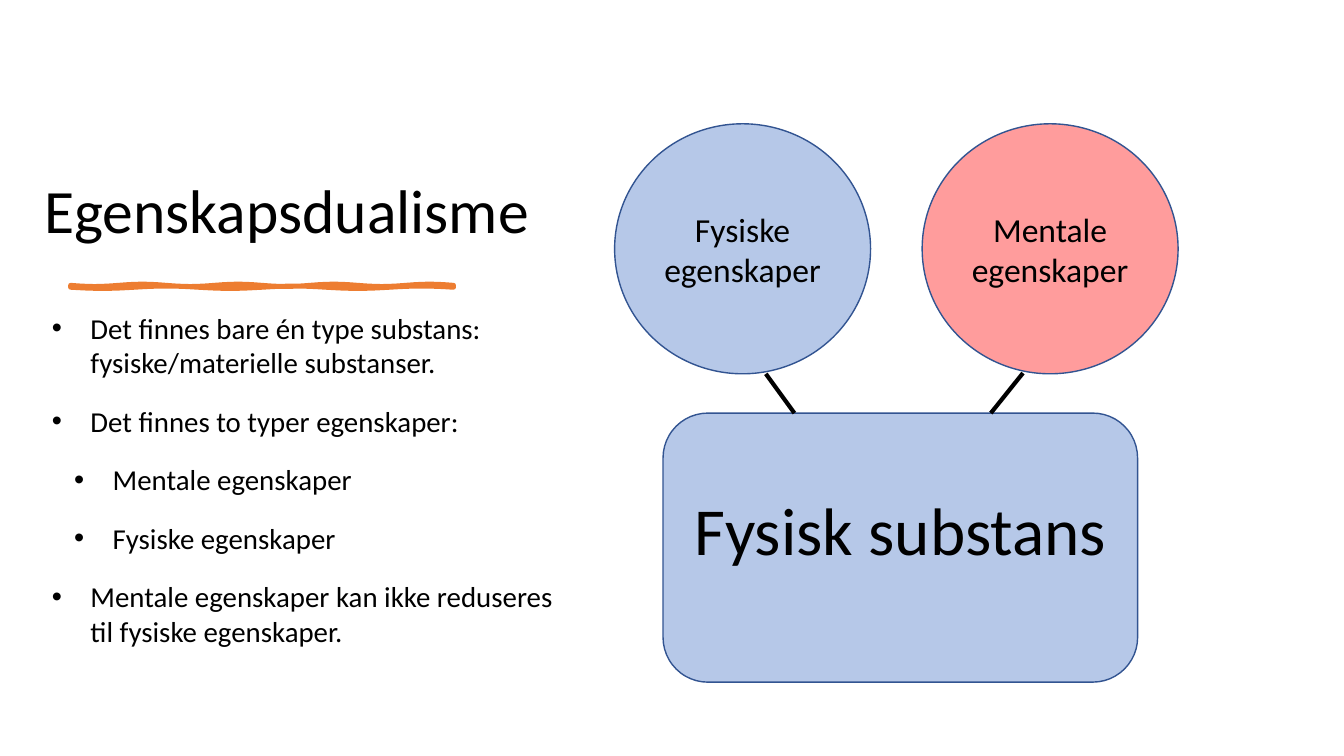
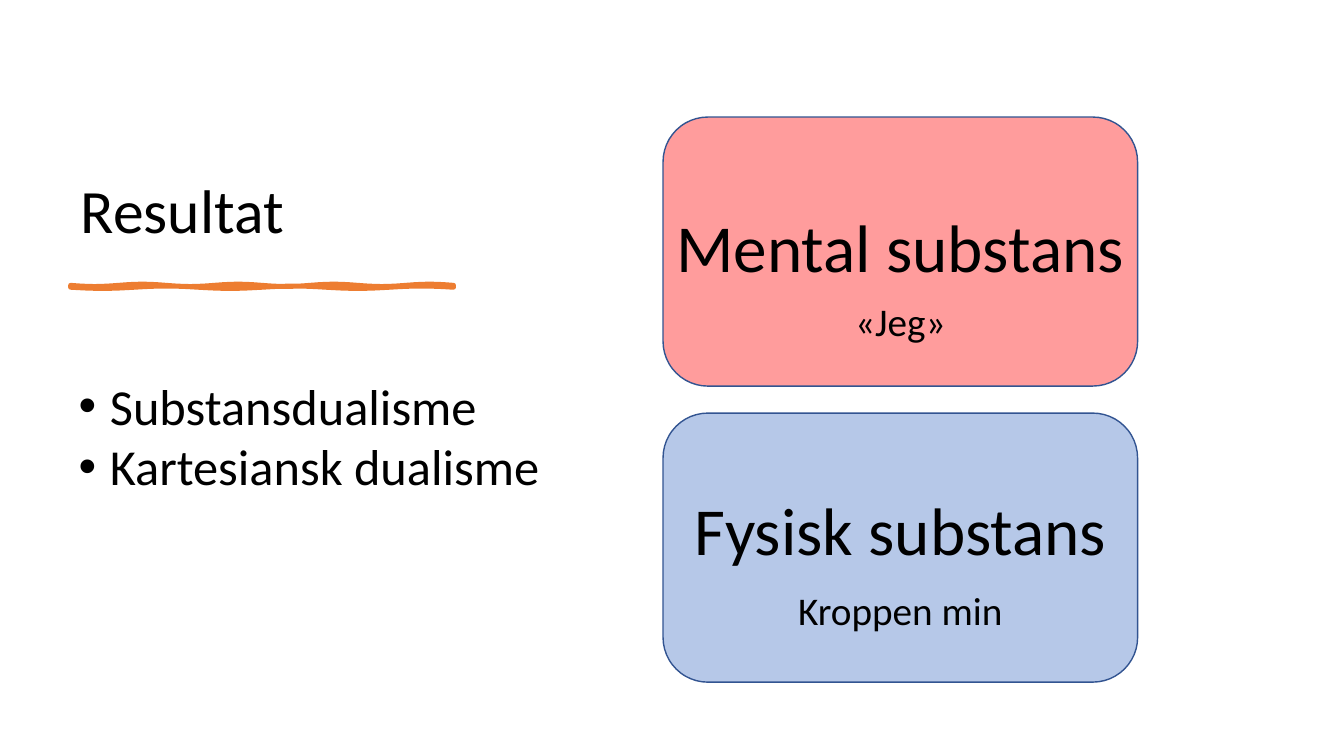
from math import pi, sin

from lxml import etree
from pptx import Presentation
from pptx.dml.color import RGBColor
from pptx.enum.shapes import MSO_CONNECTOR, MSO_SHAPE
from pptx.enum.text import MSO_ANCHOR, MSO_AUTO_SIZE, PP_ALIGN
from pptx.oxml.ns import qn
from pptx.util import Cm, Pt

ROUNDED = MSO_SHAPE.ROUNDED_RECTANGLE
OVAL = MSO_SHAPE.OVAL
STRAIGHT = MSO_CONNECTOR.STRAIGHT
BOTTOM = MSO_ANCHOR.BOTTOM
MIDDLE = MSO_ANCHOR.MIDDLE
NO_FIT = MSO_AUTO_SIZE.NONE
LEFT = PP_ALIGN.LEFT
CENTER = PP_ALIGN.CENTER

TITLE_ONLY = 5
BLACK = "000000"
PHYSICAL = "4472C4"
MENTAL = "FF0000"
OUTLINE = "325491"
ACCENT = "ED7D31"

BOX_LEFT, BOX_WIDTH, BOX_HEIGHT = 16.71, 11.96, 6.78
LOWER_TOP, UPPER_TOP = 10.41, 2.95


def color(value):
    return RGBColor.from_string(value)


class SlideWriter:
    font = "Calibri"

    def __init__(self, deck):
        self.deck = deck
        self.slide = None

    def add_span(self, para, text, size):
        span = para.add_run()
        span.text = text
        span.font.name = self.font
        span.font.size = Pt(size)
        span.font.color.rgb = color(BLACK)

    def start(self, title, left, width):
        layout = self.deck.slide_layouts[TITLE_ONLY]
        self.slide = self.deck.slides.add_slide(layout)
        box = self.slide.shapes.title
        box.left, box.top = Cm(left), Cm(0.91)
        box.width, box.height = Cm(width), Cm(5.44)
        frame = box.text_frame
        frame.auto_size = NO_FIT
        frame.word_wrap = True
        frame.vertical_anchor = BOTTOM
        para = frame.paragraphs[0]
        para.alignment = LEFT
        para.line_spacing = 0.9
        para.space_after = Pt(6)
        self.add_span(para, title, 44)
        self.brush_line()

    def brush_line(self):
        left, width, steps = 1.78, 9.65, 48

        def edge(top, waves):
            return [
                (Cm(left + width * step / steps),
                 Cm(top + 0.03 * sin(2 * pi * waves * step / steps)))
                for step in range(steps + 1)
            ]

        points = edge(7.19, 4) + edge(7.24, 3)[::-1]
        builder = self.slide.shapes.build_freeform(*points[0])
        builder.add_line_segments(points[1:], close=True)
        brush = builder.convert_to_shape()
        brush.shadow.inherit = False
        brush.fill.solid()
        brush.fill.fore_color.rgb = color(ACCENT)
        brush.line.color.rgb = color(ACCENT)
        brush.line.width = Pt(3.5)

    def bullets(self, items, place, size, indent, hanging, space=0):
        box = self.slide.shapes.add_textbox(*map(Cm, place))
        frame = box.text_frame
        frame.word_wrap = True
        for index, (text, level) in enumerate(items):
            para = frame.add_paragraph() if index else frame.paragraphs[0]
            properties = para._p.get_or_add_pPr()
            properties.set("marL", str(Cm(indent + 0.56 * level)))
            properties.set("indent", str(-Cm(hanging)))
            bullet_font = etree.SubElement(properties, qn("a:buFont"))
            bullet_font.set("typeface", "Arial")
            etree.SubElement(properties, qn("a:buChar")).set("char", "•")
            para.level = level
            para.space_before = Pt(space if index else 0)
            self.add_span(para, text, size)

    def tinted_shape(self, kind, place, fill, text=None):
        shape = self.slide.shapes.add_shape(kind, *map(Cm, place))
        shape.shadow.inherit = False
        shape.fill.solid()
        shape.fill.fore_color.rgb = color(fill)
        tint = shape._element.spPr.find(qn("a:solidFill"))[0]
        etree.SubElement(tint, qn("a:alpha")).set("val", "39000")
        shape.line.color.rgb = color(OUTLINE)
        shape.line.width = Pt(1)
        if text:
            frame = shape.text_frame
            frame.word_wrap = True
            frame.vertical_anchor = MIDDLE
            frame.margin_left = frame.margin_right = 0
            para = frame.paragraphs[0]
            para.alignment = CENTER
            self.add_span(para, text, 24)

    def label(self, text, top, size):
        height = 2.31 if size > 40 else 1.45
        box = self.slide.shapes.add_textbox(
            Cm(BOX_LEFT), Cm(top), Cm(BOX_WIDTH), Cm(height))
        box.text_frame.word_wrap = False
        para = box.text_frame.paragraphs[0]
        para.alignment = CENTER
        self.add_span(para, text, size)

    def substance(self, text, top, label_top, fill):
        place = (BOX_LEFT, top, BOX_WIDTH, BOX_HEIGHT)
        self.tinted_shape(ROUNDED, place, fill)
        self.label(text, label_top, 48)

    def line(self, *ends):
        connector = self.slide.shapes.add_connector(STRAIGHT, *map(Cm, ends))
        connector.line.color.rgb = color(BLACK)
        connector.line.width = Pt(3)
        etree.SubElement(connector._element.spPr, qn("a:effectLst"))


def property_dualism(writer):
    writer.start("Egenskapsdualisme", 0.86, 13.03)
    items = [
        ("Det finnes bare én type substans: fysiske/materielle substanser.", 0),
        ("Det finnes to typer egenskaper:", 0),
        ("Mentale egenskaper", 1),
        ("Fysiske egenskaper", 1),
        ("Mentale egenskaper kan ikke reduseres til fysiske egenskaper.", 0),
    ]
    writer.bullets(items, (0.25, 7.7, 14.48, 11.3), 20.6, 1.78, 0.97, 17)
    writer.substance("Fysisk substans", LOWER_TOP, 12.19, PHYSICAL)
    circles = [
        ("Fysiske egenskaper", 15.49, PHYSICAL),
        ("Mentale egenskaper", 23.24, MENTAL),
    ]
    for text, left, fill in circles:
        writer.tinted_shape(OVAL, (left, 3.12, 6.45, 6.3), fill, text)
    writer.line(19.3, 9.42, 20.02, LOWER_TOP)
    writer.line(25.78, 9.4, 24.97, LOWER_TOP)


def result(writer):
    writer.start("Resultat", 1.78, 12.14)
    items = [("Substansdualisme", 0), ("Kartesiansk dualisme", 0)]
    writer.bullets(items, (1.73, 9.32, 13.5, 3.33), 36, 0.79, 0.79)
    writer.substance("Fysisk substans", LOWER_TOP, 12.19, PHYSICAL)
    writer.label("Kroppen min", 14.66, 28)
    writer.substance("Mental substans", UPPER_TOP, 5.05, MENTAL)
    writer.label("«Jeg»", 7.37, 28)


def main():
    deck = Presentation()
    deck.slide_width, deck.slide_height = Cm(33.87), Cm(19.05)
    writer = SlideWriter(deck)
    property_dualism(writer)
    result(writer)
    deck.save("out.pptx")


if __name__ == "__main__":
    main()
